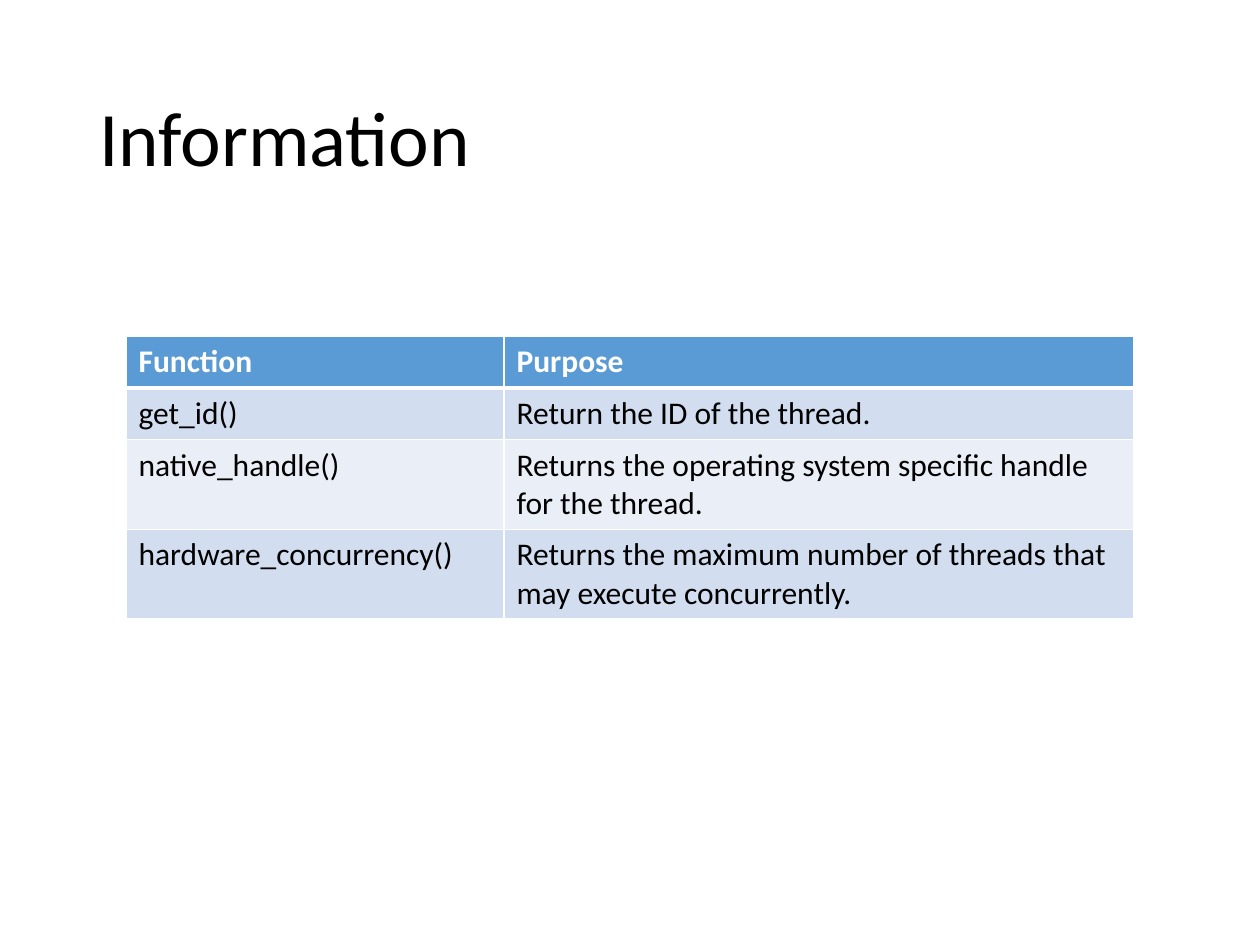
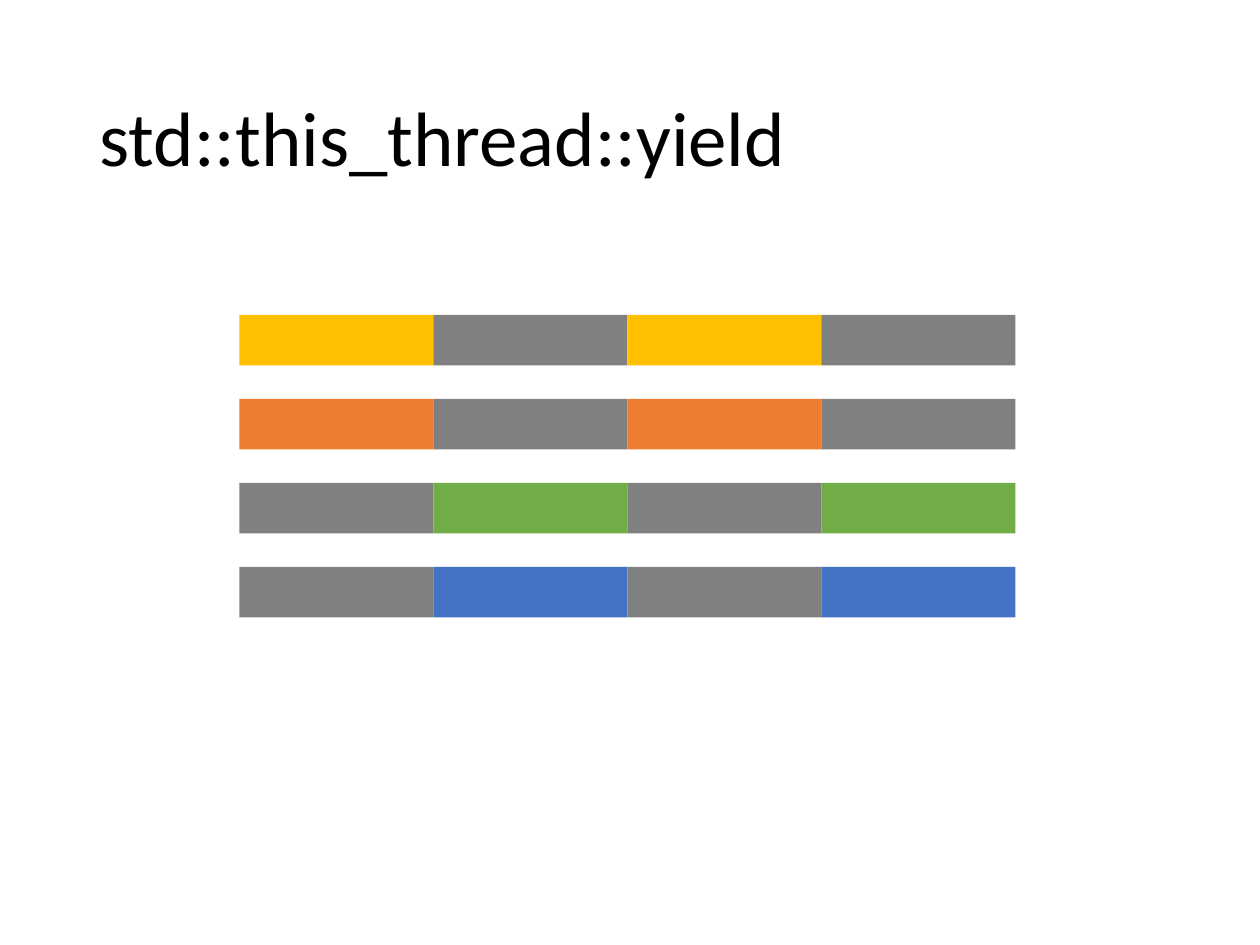
"""Build two slides on C++ threads: information functions and yielding."""
from dataclasses import dataclass

import pptx
import pptx.dml.color
import pptx.enum.shapes
import pptx.enum.text
import pptx.oxml
import pptx.oxml.ns
import pptx.util
from pptx.util import Inches


@dataclass(frozen=True)
class Theme:
    font: str = "Calibri"
    title_size: int = 44
    table_size: int = 18
    text: str = "000000"
    light: str = "FFFFFF"
    header: str = "5B9BD5"
    bands: tuple = ("D2DEEF", "EAEFF7")
    idle: str = "808080"
    threads: tuple = ("FFC000", "ED7D31", "70AD47", "4472C4")
    border: int = 1
    header_border: int = 3


def rgb(color):
    return pptx.dml.color.RGBColor.from_string(color)


class Deck:
    def __init__(self, theme):
        self.theme = theme
        self.presentation = pptx.Presentation()
        self.presentation.slide_width = Inches(10)
        self.presentation.slide_height = Inches(7.5)
        self.slide = None

    def style(self, paragraph, size, color, bold=False):
        font = paragraph.font
        font.name = self.theme.font
        font.size = pptx.util.Pt(size)
        font.bold = bold
        font.color.rgb = rgb(color)

    def add_slide(self, heading):
        layout = self.presentation.slide_layouts.get_by_name("Title Only")
        self.slide = self.presentation.slides.add_slide(layout)
        title = self.slide.shapes.title
        title.left, title.top = Inches(0.69), Inches(0.4)
        title.width, title.height = Inches(8.62), Inches(1.45)
        frame = title.text_frame
        frame.text = heading
        frame.auto_size = pptx.enum.text.MSO_AUTO_SIZE.NONE
        frame.vertical_anchor = pptx.enum.text.MSO_ANCHOR.MIDDLE
        paragraph = frame.paragraphs[0]
        paragraph.alignment = pptx.enum.text.PP_ALIGN.LEFT
        paragraph.line_spacing = 0.9
        self.style(paragraph, self.theme.title_size, self.theme.text)

    def add_borders(self, cell, top, bottom):
        properties = cell._tc.get_or_add_tcPr()
        side = self.theme.border
        for edge, width in (("L", side), ("R", side), ("T", top), ("B", bottom)):
            properties.append(pptx.oxml.parse_xml(
                f'<a:ln{edge} {pptx.oxml.ns.nsdecls("a")} w="{pptx.util.Pt(width)}">'
                f'<a:solidFill><a:srgbClr val="{self.theme.light}"/></a:solidFill>'
                f'</a:ln{edge}>'))

    def add_table(self, rows, left, top, widths, heights):
        theme = self.theme
        table = self.slide.shapes.add_table(
            len(rows), len(widths), Inches(left), Inches(top),
            Inches(sum(widths)), Inches(sum(heights))).table
        for column, width in zip(table.columns, widths):
            column.width = Inches(width)
        for index, (values, height) in enumerate(zip(rows, heights)):
            table.rows[index].height = Inches(height)
            is_header = index == 0
            fill = theme.header if is_header else theme.bands[(index - 1) % 2]
            color = theme.light if is_header else theme.text
            above = theme.header_border if index == 1 else theme.border
            below = theme.header_border if is_header else theme.border
            for column, value in enumerate(values):
                cell = table.cell(index, column)
                cell.text = value
                self.add_borders(cell, above, below)
                cell.fill.solid()
                cell.fill.fore_color.rgb = rgb(fill)
                self.style(cell.text_frame.paragraphs[0], theme.table_size,
                           color, is_header)

    def add_block(self, left, top, width, height, color):
        block = self.slide.shapes.add_shape(
            pptx.enum.shapes.MSO_SHAPE.RECTANGLE,
            Inches(left), Inches(top), Inches(width), Inches(height))
        block.shadow.inherit = False
        block.fill.solid()
        block.fill.fore_color.rgb = rgb(color)
        block.line.fill.background()


def add_information(deck):
    deck.add_slide("Information")
    functions = [
        ("Function", "Purpose"),
        ("get_id()", "Return the ID of the thread."),
        ("native_handle()",
         "Returns the operating system specific handle for the thread."),
        ("hardware_concurrency()",
         "Returns the maximum number of threads that may execute concurrently."),
    ]
    deck.add_table(functions, 1, 2.67, (3, 5), (0.41, 0.41, 0.7, 0.7))


def add_yield(deck):
    deck.add_slide("std::this_thread::yield")
    slot_width, slot_height = 1.54, 0.4
    first_left, first_top, thread_pitch = 1.9, 2.5, 2 / 3
    for thread, color in enumerate(deck.theme.threads):
        running_turn = thread // 2
        for slot in range(4):
            is_running = slot % 2 == running_turn
            deck.add_block(first_left + slot * slot_width,
                           first_top + thread * thread_pitch,
                           slot_width, slot_height,
                           color if is_running else deck.theme.idle)


def main():
    deck = Deck(Theme())
    add_information(deck)
    add_yield(deck)
    deck.presentation.save("out.pptx")


if __name__ == "__main__":
    main()
